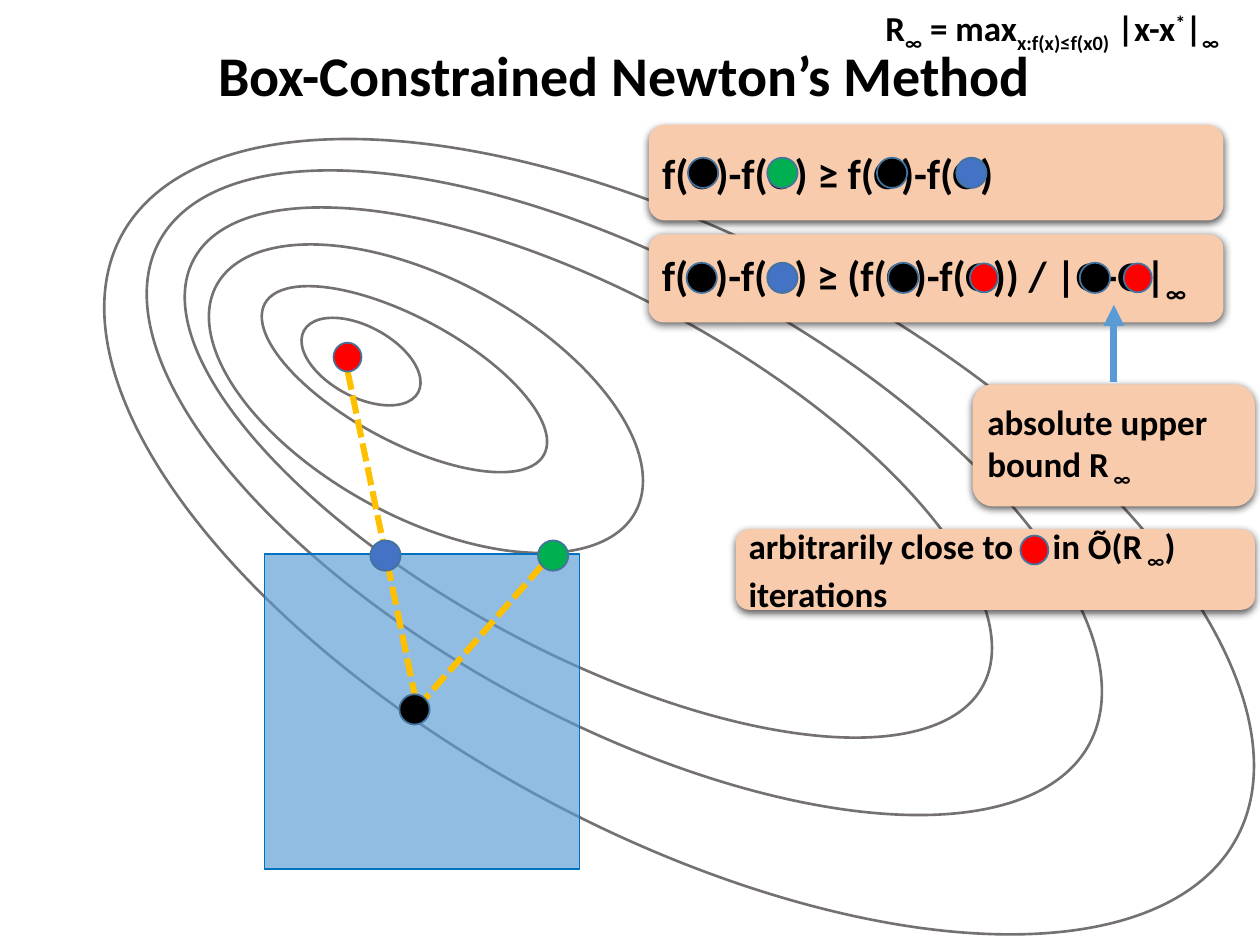
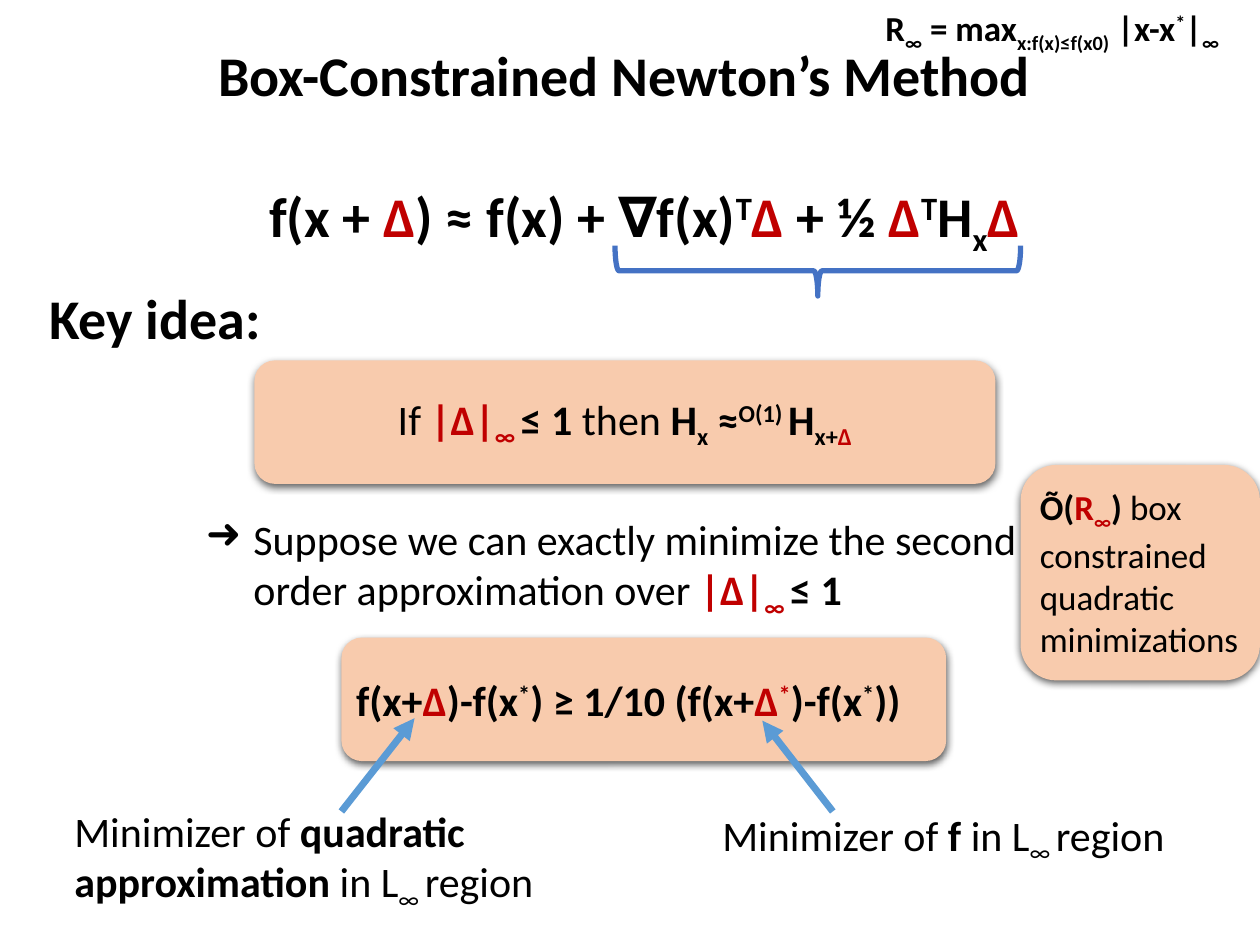
from lxml.etree import SubElement
from pptx import Presentation
from pptx.dml.color import RGBColor
from pptx.enum.dml import MSO_LINE
from pptx.enum.shapes import MSO_CONNECTOR, MSO_SHAPE
from pptx.enum.text import MSO_ANCHOR, MSO_AUTO_SIZE, PP_ALIGN
from pptx.oxml import parse_xml
from pptx.oxml.ns import nsdecls, qn
from pptx.util import Pt

COLORS = {
    "text": "000000", "accent": "C00000", "panel": "F8CBAD", "contour": "767171",
    "square": "5B9BD5", "square_edge": "0070C0", "dot_edge": "43739E",
    "black": "000000", "green": "00B050", "blue": "4472C4", "red": "FF0000",
    "path": "FFC000", "arrow": "5B9BD5", "brace": "4472C4",
}
RGB = {name: RGBColor.from_string(value) for name, value in COLORS.items()}
FONT = "Calibri"
SHADOW = (
    f'<a:effectLst {nsdecls("a")}><a:outerShdw blurRad="57150" dist="19050" dir="5400000" '
    'algn="ctr" rotWithShape="0"><a:srgbClr val="000000"><a:alpha val="63000"/>'
    '</a:srgbClr></a:outerShdw></a:effectLst>'
)
BASELINES = {"_": "-25000", "^": "30000"}


def add_box(page, kind, frame, fill=None, line=None, weight=1, spans=(), size=24, align=PP_ALIGN.LEFT):
    """Add a shape, or a text box if kind is None. Span marks: b bold, r accent, _ sub, ^ super."""
    lengths = [Pt(value) for value in frame]
    if kind is None:
        box = page.shapes.add_textbox(*lengths)
    else:
        box = page.shapes.add_shape(kind, *lengths)
        box.shadow.inherit = False
        box.text_frame.margin_left = box.text_frame.margin_right = Pt(5)
        box.text_frame.vertical_anchor = MSO_ANCHOR.MIDDLE
        if fill:
            box.fill.solid()
            box.fill.fore_color.rgb = RGB[fill]
        else:
            box.fill.background()
        if line:
            box.line.color.rgb = RGB[line]
            box.line.width = Pt(weight)
        else:
            box.line.fill.background()
    if fill == "panel":
        properties = box._element.spPr
        properties.remove(properties.find(qn("a:effectLst")))
        properties.append(parse_xml(SHADOW))
    box.text_frame.word_wrap = True
    para = box.text_frame.paragraphs[0]
    para.alignment = align
    for text, marks in spans:
        span = para.add_run()
        span.text = text
        span.font.name, span.font.size = FONT, Pt(size)
        span.font.bold = "b" in marks
        span.font.color.rgb = RGB["accent" if "r" in marks else "text"]
        for mark, baseline in BASELINES.items():
            if mark in marks:
                span._r.get_or_add_rPr().set("baseline", baseline)
    return box


def add_line(page, start, end, color, weight):
    line = page.shapes.add_connector(MSO_CONNECTOR.STRAIGHT, *[Pt(value) for value in start + end])
    line.line.color.rgb = RGB[color]
    line.line.width = Pt(weight)
    SubElement(line._element.spPr, qn("a:effectLst"))
    return line


deck = Presentation()
deck.slide_width, deck.slide_height = Pt(720), Pt(540)

# Title and radius definition, the same on both slides
pages = []
for _ in range(2):
    page = deck.slides.add_slide(deck.slide_layouts[5])
    title = page.shapes.title
    title.left, title.top, title.width, title.height = Pt(113.8), Pt(19.4), Pt(486), Pt(46)
    title.text_frame.text = "Box-Constrained Newton’s Method"
    title.text_frame.auto_size = MSO_AUTO_SIZE.NONE
    title.text_frame.vertical_anchor = MSO_ANCHOR.TOP
    title_para = title.text_frame.paragraphs[0]
    title_para.alignment = PP_ALIGN.CENTER
    title_font = title_para.runs[0].font
    title_font.name, title_font.size, title_font.bold = FONT, Pt(32), True
    title_font.color.rgb = RGB["text"]
    add_box(page, None, (468.8, 0, 265, 31.5), size=20, align=PP_ALIGN.CENTER, spans=[
        ("R", "b"), ("∞", "b_"), (" = max", "b"), ("x:f(x)≤f(x0)", "b_"),
        (" |x-x", "b"), ("*", "b^"), ("|", "b"), ("∞", "b_")])
    pages.append(page)
geometry, theory = pages

# Slide 1: level sets, all tilted alike
contours = [
    (25.9, 138.2, 724.3, 337), (54.7, 150.5, 604.1, 262.1), (79.9, 167.8, 512.6, 204.5),
    (107.3, 159.8, 272.2, 136.1), (140.4, 181.4, 181.4, 70.6), (169.2, 186.5, 74.2, 40.3),
]
for frame in contours:
    add_box(geometry, MSO_SHAPE.OVAL, frame, line="contour", weight=1.5).rotation = 28.4

# Slide 1: box constraint
square = add_box(geometry, MSO_SHAPE.RECTANGLE, (151.2, 316.8, 180, 180), "square", "square_edge")
square_color = square._element.spPr.find(qn("a:solidFill"))[0]
SubElement(square_color, qn("a:alpha")).set("val", "66000")

# Slide 1: paths from the current point
for start, end in [((198.7, 212.4), (236.9, 396.7)), ((309.6, 323.3), (242.6, 399.6))]:
    add_line(geometry, start, end, "path", 3.5).line.dash_style = MSO_LINE.SQUARE_DOT

# Slide 1: statements
statements = [
    ((370.8, 71.3, 328.3, 54.7), 24, [("f(O)-f(O) ≥ f(O)-f(O)", "b")]),
    ((370.8, 133.9, 328.3, 50.4), 24, [("f(O)-f(O) ≥ (f(O)-f(O)) / |O-O|", "b"), ("∞", "b_")]),
    ((555.8, 219.6, 161.3, 69.8), 20, [("absolute upper bound R", "b"), (" ∞", "b_")]),
    ((420.5, 302.4, 296.6, 46.1), 20,
     [("arbitrarily close to O in Õ(R", "b"), (" ∞", "b_"), (") iterations", "b")]),
]
for frame, size, spans in statements:
    add_box(geometry, MSO_SHAPE.ROUNDED_RECTANGLE, frame, "panel", spans=spans, size=size)

# Slide 1: points, by centre, in the plot and inside the statements
dots = [
    ("green", 316.1, 317.5), ("black", 236.9, 405.4), ("red", 198.6, 204.1), ("blue", 220.3, 317.5),
    ("black", 401.8, 98.8), ("green", 447.1, 98.8), ("black", 509.8, 98.8), ("blue", 555.1, 98.8),
    ("black", 401, 158.8), ("blue", 447.1, 158.8), ("black", 516.2, 158.8), ("red", 562.3, 158.8),
    ("black", 625.7, 158.8), ("red", 650.2, 158.8), ("red", 591.1, 314.3),
]
for color, x, y in dots:
    width, height = (16, 16.5) if color == "red" else (17.3, 17.3)
    add_box(geometry, MSO_SHAPE.OVAL, (x - width / 2, y - height / 2, width, height), color, "dot_edge")

# Slide 2: expansion and heading
for frame, spans in [
    ((67.7, 100.1, 601.2, 46), [
        ("f(x + ", "b"), ("Δ", "br"), (") ≈ f(x) + ∇f(x)", "b"), ("T", "b^"), ("Δ ", "br"),
        ("+ ½ ", "b"), ("Δ", "br"), ("T", "b^"), ("H", "b"), ("x", "b_"), ("Δ", "br")]),
    ((0.7, 158.4, 175.7, 46), [("Key idea:", "b")]),
]:
    add_box(theory, None, frame, spans=spans, size=32, align=PP_ALIGN.CENTER)

brace = add_box(theory, MSO_SHAPE.RIGHT_BRACE, (452.9, 38.9, 28.8, 231.8), line="brace", weight=3)
brace.rotation = 90
brace.adjustments[0], brace.adjustments[1] = 0.08, 0.5

# Slide 2: argument, panels and plain notes
norm = [("|Δ|", "br"), ("∞ ", "br_")]
region = [("∞ ", "_"), ("region", "")]
add_box(theory, MSO_SHAPE.ROUNDED_RECTANGLE, (145.4, 205.9, 423.4, 70.6), "panel", align=PP_ALIGN.CENTER,
        spans=[("If ", ""), *norm, ("≤ 1 ", "b"), ("then ", ""), ("H", "b"), ("x", "b_"), (" ≈", "b"),
               ("O(1) ", "b^"), ("H", "b"), ("x+", "b_"), ("Δ", "br_")])
step = add_box(theory, MSO_SHAPE.ROUNDED_RECTANGLE, (109.4, 288.7, 517.7, 70.6), spans=[
    ("Suppose we can exactly minimize the second order approximation over ", ""), *norm, ("≤ 1", "b")])
bullet = step.text_frame.paragraphs[0]._p.get_or_add_pPr()
bullet.set("marL", str(Pt(27)))
bullet.set("indent", str(-Pt(27)))
SubElement(bullet, qn("a:buChar")).set("char", "➜")

notes = [
    ((195.1, 364.3, 345.6, 70.6), "panel", 24, [
        ("f(x+", "b"), ("Δ", "br"), (")-f(x", "b"), ("*", "b^"), (") ≥ 1/10 (f(x+", "b"), ("Δ", "br"),
        ("*", "br^"), (")-f(x", "b"), ("*", "b^"), ("))", "b")]),
    ((33.1, 445.7, 290.2, 90.7), None, 24,
     [("Minimizer of ", ""), ("quadratic approximation ", "b"), ("in L", ""), *region]),
    ((404.6, 445.7, 286.6, 66.2), None, 24,
     [("Minimizer of ", ""), ("f", "b"), (" in L", ""), *region]),
    ((583.2, 265.7, 136.8, 123.1), "panel", 20, [
        ("Õ(", "b"), ("R", "br"), ("∞", "br_"), (") ", "b"),
        ("box constrained quadratic minimizations", "")]),
]
for frame, fill, size, spans in notes:
    add_box(theory, MSO_SHAPE.ROUNDED_RECTANGLE, frame, fill, spans=spans, size=size)

# Arrows from explanations to terms
for page, start, end in [
    (geometry, (636.5, 218.2), (636.5, 174.2)),
    (theory, (195.1, 463.7), (236.9, 410.4)),
    (theory, (475.9, 463.7), (435.6, 411.8)),
]:
    arrow = add_line(page, start, end, "arrow", 4)
    SubElement(arrow.line._get_or_add_ln(), qn("a:tailEnd")).set("type", "triangle")

deck.save("out.pptx")
